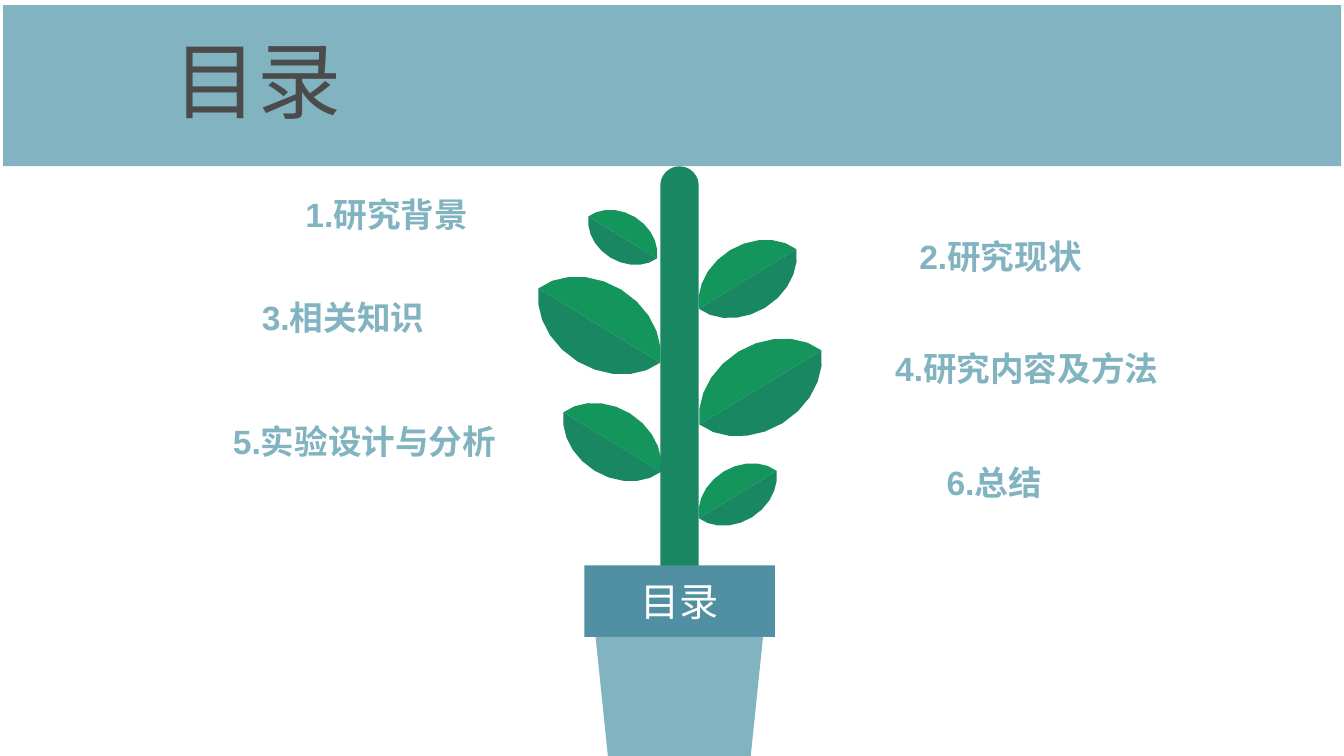
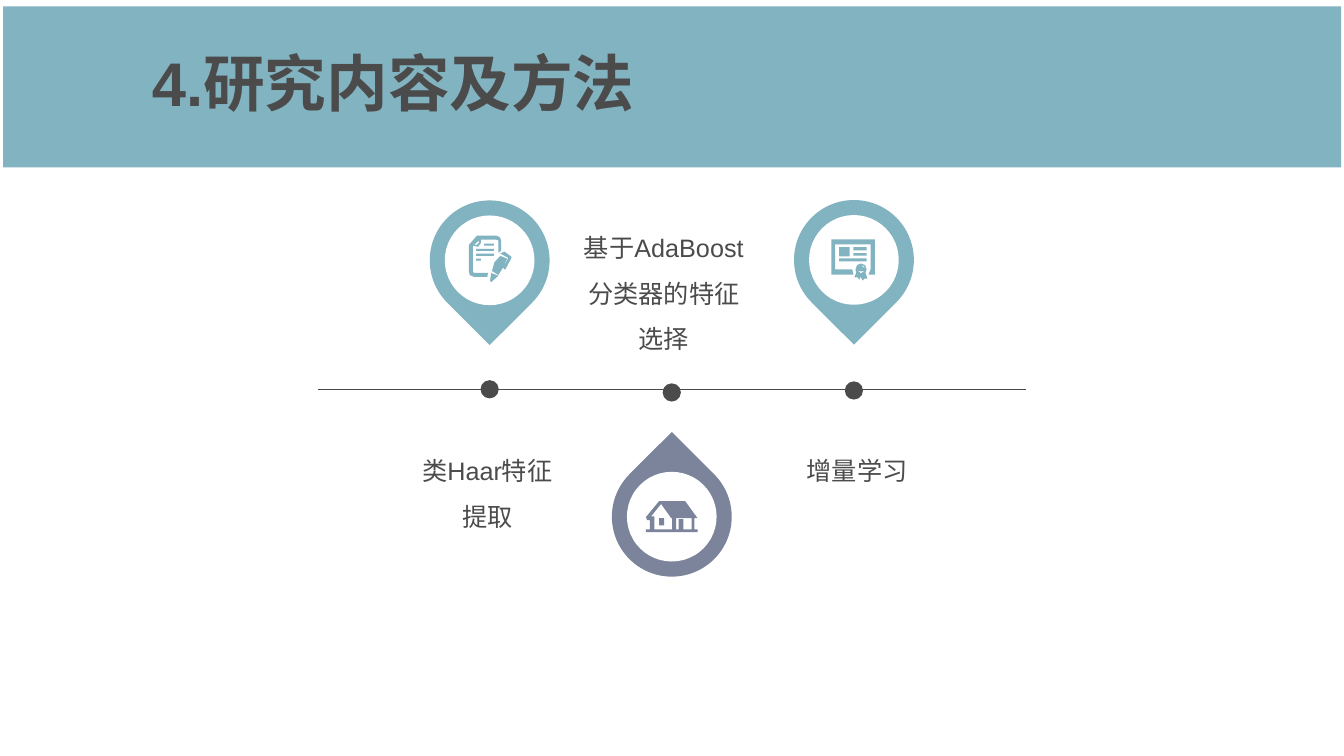
from dataclasses import dataclass

from lxml import etree
from pptx import Presentation
from pptx import util as u
from pptx.dml.color import RGBColor
from pptx.enum import shapes, text
from pptx.oxml.ns import qn

Point = tuple[float, float]
Contour = list[Point]

TEAL, DARK_TEAL, SLATE = "82B3C1", "5090A2", "7C849C"
INK, WHITE = "4B4B4B", "FFFFFF"
LEAF, STEM = "13955C", "1A8763"
FONT = "Arial"
SHAPE = shapes.MSO_SHAPE
CENTER = text.PP_ALIGN.CENTER
MIDDLE = text.MSO_ANCHOR.MIDDLE


# Shared drawing tools; every length is in centimetres
def color(value: str) -> RGBColor:
    return RGBColor.from_string(value)


def paint(shape, fill: str):
    shape.shadow.inherit = False
    shape.fill.solid()
    shape.fill.fore_color.rgb = color(fill)
    shape.line.fill.background()
    return shape


def add_preset(page, kind, left: float, top: float, width: float, height: float, fill: str):
    box = page.shapes.add_shape(kind, u.Cm(left), u.Cm(top), u.Cm(width), u.Cm(height))
    return paint(box, fill)


def add_centered(page, kind, x: float, y: float, size: float, fill: str):
    return add_preset(page, kind, x - size / 2, y - size / 2, size, size, fill)


def add_outline(page, contours: list[Contour], fill: str):
    """Draw closed contours as one shape; inner contours become holes."""
    scaled = [[(u.Cm(x), u.Cm(y)) for x, y in contour] for contour in contours]
    builder = page.shapes.build_freeform(*scaled[0][0])
    for index, contour in enumerate(scaled):
        if index:
            builder.move_to(*contour[0])
        builder.add_line_segments(contour[1:], close=True)
    return paint(builder.convert_to_shape(), fill)


def write(box, words: str, *, size: float, ink: str = INK, bold: bool = False,
          align=None, anchor=text.MSO_ANCHOR.TOP, spacing: float | None = None) -> None:
    frame = box.text_frame
    frame.word_wrap = True
    frame.vertical_anchor = anchor
    para = frame.paragraphs[0]
    para.alignment = align
    para.line_spacing = spacing
    span = para.add_run()
    span.text = words
    span.font.name = FONT
    span.font.size = u.Pt(size)
    span.font.bold = bold
    span.font.color.rgb = color(ink)


def add_text(page, words: str, left: float, top: float, width: float, height: float,
             **style) -> None:
    box = page.shapes.add_textbox(u.Cm(left), u.Cm(top), u.Cm(width), u.Cm(height))
    write(box, words, **style)


def add_band(page, top: float) -> None:
    add_preset(page, SHAPE.RECTANGLE, 0.08, top, 33.72, 4.06, TEAL)


# Contents slide: a potted plant with one leaf per chapter
@dataclass
class Leaf:
    x: float
    y: float
    width: float
    side: int


@dataclass
class Label:
    words: str
    left: float
    top: float
    width: float


LEAVES = [
    Leaf(17.61, 7.78, 2.46, 1), Leaf(17.63, 10.7, 3.07, 1), Leaf(17.61, 13.06, 1.96, 1),
    Leaf(16.56, 6.51, 1.73, -1), Leaf(16.64, 9.14, 3.07, -1), Leaf(16.66, 11.89, 2.46, -1),
]
CHAPTERS = [
    Label("1.研究背景", 4.68, 4.75, 10.13),
    Label("2.研究现状", 20.15, 5.82, 10.13),
    Label("3.相关知识", 3.58, 7.36, 10.13),
    Label("4.研究内容及方法", 20.81, 8.64, 10.13),
    Label("5.实验设计与分析", 4.12, 10.49, 10.13),
    Label("6.总结", 19.99, 11.51, 10.13),
]
# Upper leaf edge from base to tip, for a leaf of width 1
TIP = (1, 0.61)
EDGE = [
    [(0, 0), (-0.03, 0.21), (0.08, 0.45), (0.32, 0.6)],
    [(0.32, 0.6), (0.55, 0.74), (0.83, 0.74), TIP],
]


def curve(controls: Contour, steps: int = 5) -> Contour:
    """Points along a cubic curve, without its start."""
    def at(t: float) -> Point:
        weights = ((1 - t) ** 3, 3 * t * (1 - t) ** 2, 3 * t * t * (1 - t), t ** 3)
        x, y = (sum(w * c for w, c in zip(weights, axis)) for axis in zip(*controls))
        return x, y
    return [at(step / steps) for step in range(1, steps + 1)]


def add_leaf(page, leaf: Leaf) -> None:
    upper = [(0, 0)] + [point for controls in EDGE for point in curve(controls)]
    lower = [(TIP[0] - x, TIP[1] - y) for x, y in upper]
    for half, fill in ((lower, STEM), (upper, LEAF)):
        add_outline(page, [[(leaf.x + leaf.side * leaf.width * x, leaf.y - leaf.width * y)
                            for x, y in half]], fill)


def build_contents(page) -> None:
    for leaf in LEAVES:
        add_leaf(page, leaf)
    stem = add_preset(page, SHAPE.ROUNDED_RECTANGLE, 16.64, 4.19, 0.97, 10.5, STEM)
    stem.adjustments[0] = 0.5
    rim = add_preset(page, SHAPE.RECTANGLE, 14.73, 14.25, 4.8, 1.8, DARK_TEAL)
    write(rim, "目录", size=28, ink=WHITE, align=CENTER, anchor=MIDDLE)
    add_outline(page, [[(15.01, 16.05), (19.23, 16.05), (18.92, 19.05), (15.32, 19.05)]], TEAL)
    for label in CHAPTERS:
        add_text(page, label.words, label.left, label.top, label.width, 1.27,
                 size=24, ink=TEAL, bold=True, align=CENTER)
    add_band(page, 0.13)
    add_text(page, "目录", 4.13, 0.6, 13.34, 2.79, size=60)


# Icons, measured from the centre of their pin
def bar(left: float, top: float, right: float, bottom: float) -> Contour:
    return [(left, top), (right, top), (right, bottom), (left, bottom)]


NOTE = [
    # sheet
    [(-0.32, -0.62), (0.17, -0.62), (0.26, -0.58), (0.29, -0.5), (0.29, -0.24),
     (0.22, -0.19), (0.22, -0.5), (0.17, -0.52), (-0.22, -0.52), (-0.22, -0.44),
     (-0.29, -0.34), (-0.42, -0.37), (-0.42, 0.29), (-0.39, 0.32), (-0.04, 0.32),
     (-0.06, 0.42), (-0.39, 0.42), (-0.5, 0.37), (-0.52, 0.29), (-0.52, -0.39)],
    # folded corner
    [(-0.39, -0.39), (-0.32, -0.39), (-0.27, -0.44), (-0.27, -0.5)],
    # pen clip, barrel and nib
    [(0.37, -0.22), (0.27, -0.17), (0.47, -0.06), (0.34, 0.19), (0.39, 0.24),
     (0.55, -0.06), (0.55, -0.09), (0.44, -0.17)],
    [(0.27, -0.11), (0.12, 0.05), (0.06, 0.27), (0.22, 0.37), (0.34, 0.18), (0.44, -0.04)],
    [(0.04, 0.32), (0.01, 0.52), (0.04, 0.55), (0.22, 0.39)],
    # written lines
    bar(-0.14, -0.42, 0.11, -0.37), bar(-0.34, -0.29, 0.11, -0.24),
    bar(-0.34, -0.17, 0.11, -0.11), bar(-0.34, -0.04, -0.22, 0.01),
]
CERTIFICATE = [
    # frame, open behind the seal
    [(-0.57, -0.52), (0.53, -0.52), (0.53, 0.37), (0.37, 0.37), (0.42, 0.24), (0.42, -0.39),
     (-0.47, -0.39), (-0.47, 0.24), (-0.04, 0.24), (-0.01, 0.37), (-0.57, 0.37)],
    # seal with ribbons, then its highlights
    [(0.32, 0.24), (0.28, 0.13), (0.18, 0.09), (0.08, 0.13), (0.04, 0.24), (0.06, 0.32),
     (0.01, 0.44), (0.09, 0.44), (0.14, 0.5), (0.17, 0.42), (0.22, 0.52), (0.27, 0.47),
     (0.34, 0.47), (0.29, 0.32)],
    [(0.09, 0.27), (0.18, 0.29), (0.27, 0.27), (0.18, 0.34)],
    [(0.17, 0.14), (0.25, 0.15), (0.28, 0.24), (0.23, 0.17)],
    # portrait and lines
    bar(-0.37, -0.32, -0.11, -0.09), bar(-0.01, -0.32, 0.32, -0.24),
    bar(-0.01, -0.17, 0.32, -0.11), bar(-0.37, -0.04, 0.32, 0.04),
]
HOUSE = [
    # silhouette
    [(-0.32, -0.39), (0.34, -0.39), (0.65, 0.04), (0.57, 0.04), (0.57, 0.32), (0.65, 0.32),
     (0.65, 0.39), (-0.65, 0.39), (-0.65, 0.32), (-0.55, 0.32), (-0.55, 0.09),
     (-0.62, 0.09), (-0.65, 0.01)],
    # side wall around the door
    [(0.5, 0.32), (0.5, 0.04), (0.11, 0.04), (0.11, 0.32), (0.17, 0.32), (0.17, 0.06),
     (0.29, 0.06), (0.29, 0.32)],
    # front wall and window
    [(0.01, 0.32), (0.01, 0.04), (-0.01, 0.04), (-0.27, -0.32), (-0.52, -0.01),
     (-0.44, -0.01), (-0.44, 0.32)],
    bar(-0.32, 0.04, -0.19, 0.22),
]


# Methods slide: pins on a time line
@dataclass
class Pin:
    x: float
    y: float
    dot_y: float
    turn: int
    fill: str
    icon: list[Contour]


PINS = [
    Pin(12.34, 6.56, 9.81, 135, TEAL, NOTE),
    Pin(21.52, 6.55, 9.84, 135, TEAL, CERTIFICATE),
    Pin(16.93, 13.02, 9.89, 315, SLATE, HOUSE),
]
STEPS = [
    Label("类Haar特征提取", 10.17, 10.98, 4.22),
    Label("增量学习", 19.49, 10.98, 4.22),
    Label("基于AdaBoost分类器的特征选择", 14.33, 5.36, 4.8),
]


def add_pin(page, pin: Pin) -> None:
    add_centered(page, SHAPE.OVAL, pin.x, pin.dot_y, 0.46, INK)
    add_centered(page, SHAPE.TEAR, pin.x, pin.y, 3.02, pin.fill).rotation = pin.turn
    add_centered(page, SHAPE.OVAL, pin.x, pin.y, 2.26, WHITE)
    add_outline(page, [[(pin.x + x, pin.y + y) for x, y in contour] for contour in pin.icon],
                pin.fill)


def build_methods(page) -> None:
    axis = page.shapes.add_connector(
        shapes.MSO_CONNECTOR.STRAIGHT, u.Cm(8.02), u.Cm(9.81), u.Cm(25.85), u.Cm(9.81))
    axis.line.color.rgb = color(INK)
    axis.line.width = u.Pt(0.5)
    etree.SubElement(axis._element.spPr, qn("a:effectLst"))
    for pin in PINS:
        add_pin(page, pin)
    for step in STEPS:
        add_text(page, step.words, step.left, step.top, step.width, 3.76,
                 size=18, align=CENTER, spacing=1.5)
    add_band(page, 0.16)
    add_text(page, "4.研究内容及方法", 3.58, 0.34, 29.21, 3.68,
             size=44, bold=True, anchor=MIDDLE, spacing=0.9)


def main() -> None:
    deck = Presentation()
    deck.slide_width, deck.slide_height = u.Cm(33.87), u.Cm(19.05)
    blank = deck.slide_layouts[6]
    for build in (build_contents, build_methods):
        build(deck.slides.add_slide(blank))
    deck.save("out.pptx")


if __name__ == "__main__":
    main()
